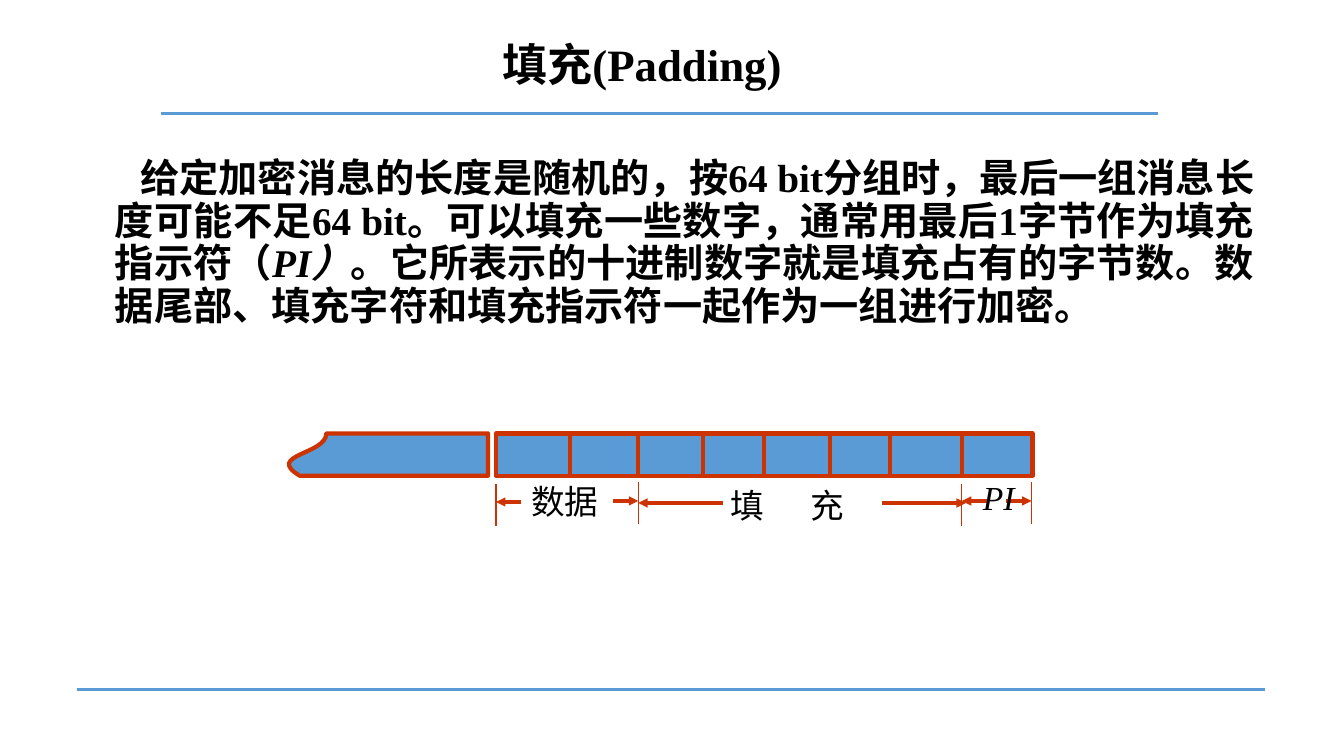
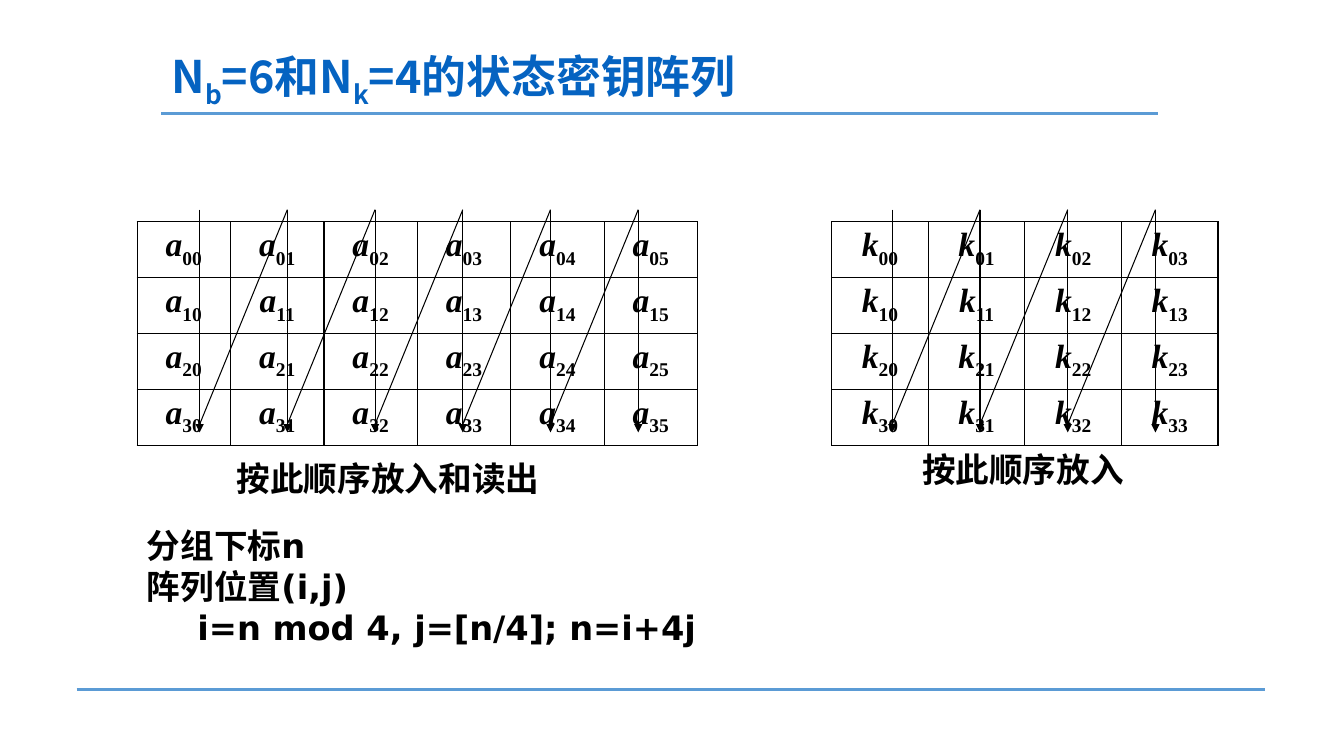
from dataclasses import dataclass
from typing import Any, Optional, Sequence

import lxml.etree
import pptx
import pptx.dml.color
import pptx.enum.lang
import pptx.enum.shapes
import pptx.enum.text
import pptx.oxml.ns
import pptx.util

SCALE = 9144
HUES = {"sky": "5B9BD5", "rust": "CC3300", "ink": "000000", "link": "0563C1"}
SERIF = "Times New Roman"
ALIGN = pptx.enum.text.PP_ALIGN
SHAPE = pptx.enum.shapes.MSO_SHAPE


@dataclass(frozen=True)
class Span:
    text: str
    slant: bool = False
    sub: bool = False


@dataclass(frozen=True)
class Style:
    face: str
    size: int
    hue: str = "ink"
    bold: bool = True
    align: Optional[Any] = None
    space: Optional[Any] = None


@dataclass(frozen=True)
class Box:
    left: int
    top: int
    width: int
    height: int


@dataclass(frozen=True)
class Line:
    left: int
    top: int
    right: int
    foot: int
    hue: str = "ink"
    width: float = 0.75
    tip: bool = False


@dataclass(frozen=True)
class Grid:
    mark: str
    cols: int
    box: Box
    start: int


def px(count: int) -> pptx.util.Emu:
    return pptx.util.Emu(count * SCALE)


def tint(name: str) -> pptx.dml.color.RGBColor:
    return pptx.dml.color.RGBColor.from_string(HUES[name])


def child(node: Any, tag: str, **attrs: str) -> Any:
    part = lxml.etree.SubElement(node, pptx.oxml.ns.qn(tag))
    for key, value in attrs.items():
        part.set(key, value)
    return part


def place(shape: Any, box: Box) -> None:
    shape.left, shape.top = px(box.left), px(box.top)
    shape.width, shape.height = px(box.width), px(box.height)


def write(para: Any, spans: Sequence[Span], style: Style) -> None:
    para.alignment = style.align
    if style.space is not None:
        para.line_spacing = style.space
    font = para.font
    font.name, font.size = style.face, pptx.util.Pt(style.size)
    font.bold = style.bold
    font.color.rgb = tint(style.hue)
    font.language_id = pptx.enum.lang.MSO_LANGUAGE_ID.SIMPLIFIED_CHINESE
    for span in spans:
        run = para.add_run()
        run.text = span.text
        if span.slant:
            run.font.italic = True
        if span.sub:
            run._r.get_or_add_rPr().set("baseline", "-25000")


def draw(slide: Any, line: Line) -> Any:
    link = slide.shapes.add_connector(
        pptx.enum.shapes.MSO_CONNECTOR.STRAIGHT,
        px(line.left), px(line.top), px(line.right), px(line.foot),
    )
    link.line.color.rgb = tint(line.hue)
    link.line.width = pptx.util.Pt(line.width)
    if line.tip:
        child(link.line._get_or_add_ln(), "a:tailEnd", type="triangle")
    child(link._element.spPr, "a:effectLst")
    return link


def block(slide: Any, kind: Any, box: Box) -> Any:
    shape = slide.shapes.add_shape(
        kind, px(box.left), px(box.top), px(box.width), px(box.height)
    )
    shape.shadow.inherit = False
    shape.fill.solid()
    shape.fill.fore_color.rgb = tint("sky")
    shape.line.color.rgb = tint("rust")
    shape.line.width = pptx.util.Pt(3)
    return shape


def label(slide: Any, box: Box, wrap: bool = True) -> Any:
    shape = slide.shapes.add_textbox(
        px(box.left), px(box.top), px(box.width), px(box.height)
    )
    shape.text_frame.word_wrap = wrap
    return shape.text_frame


def head(slide: Any, box: Box, spans: Sequence[Span], style: Style) -> None:
    title = slide.shapes.title
    place(title, box)
    frame = title.text_frame
    frame.auto_size = pptx.enum.text.MSO_AUTO_SIZE.NONE
    frame.vertical_anchor = pptx.enum.text.MSO_ANCHOR.MIDDLE
    write(frame.paragraphs[0], spans, style)


def rule(deck: Any, slide: Any) -> None:
    for line in (
        Line(160, 113, 1149, 113, "sky", 2.25),
        Line(76, 684, 1255, 684, "sky", 2.25),
    ):
        deck.slide_master.shapes._spTree.append(draw(slide, line)._element)


def table(slide: Any, grid: Grid) -> None:
    box = grid.box
    frame = slide.shapes.add_table(
        4, grid.cols, px(box.left), px(box.top), px(box.width), px(box.height)
    )
    body = frame.table
    body.first_row = body.horz_banding = False
    for col in body.columns:
        col.width = px(box.width) // grid.cols
    style = Style(SERIF, 24, align=ALIGN.CENTER)
    for i, row in enumerate(body.rows):
        row.height = px(box.height) // 4
        for j, cell in enumerate(row.cells):
            spans = [Span(grid.mark, slant=True), Span(f"{i}{j}", sub=True)]
            write(cell.text_frame.paragraphs[0], spans, style)
            props = cell._tc.get_or_add_tcPr()
            for side in "LRTB":
                edge = child(props, f"a:ln{side}", w="12700")
                fill = child(edge, "a:solidFill")
                child(fill, "a:srgbClr", val=HUES["ink"])
            cell.fill.background()


def order(slide: Any, grid: Grid) -> None:
    step = 87
    for j in range(grid.cols):
        x = grid.start + j * step
        draw(slide, Line(x, 208, x, 429, tip=True))
        if j < grid.cols - 1:
            draw(slide, Line(x, 421, x + step, 208))


def padding(deck: Any) -> None:
    slide = deck.slides.add_slide(deck.slide_layouts[1])
    rule(deck, slide)
    head(slide, Box(162, 4, 950, 125), [Span("填充(Padding)")],
         Style(SERIF, 32, align=ALIGN.CENTER, space=0.9))

    body = slide.placeholders[1]
    place(body, Box(79, 141, 1175, 218))
    frame = body.text_frame
    frame.auto_size = pptx.enum.text.MSO_AUTO_SIZE.NONE
    frame.margin_top = px(16)
    para = frame.paragraphs[0]
    props = para._p.get_or_add_pPr()
    props.set("marL", str(px(25)))
    props.set("indent", str(px(25)))
    para.space_before = pptx.util.Pt(0)
    child(props, "a:buNone")
    write(para, [
        Span("给定加密消息的长度是随机的，按64 bit分组时，最后一组消息"
             "长度可能不足64 bit。可以填充一些数字，通常用最后1字节作为"
             "填充指示符（"),
        Span("PI）", slant=True),
        Span("。它所表示的十进制数字就是填充占有的字节数。"
             "数据尾部、填充字符和填充指示符一起作为一组进行加密。"),
    ], Style(SERIF, 28, align=ALIGN.JUSTIFY, space=pptx.util.Pt(30.4)))

    bar = block(slide, SHAPE.RECTANGLE, Box(492, 430, 532, 42))
    for x in (565, 633, 697, 758, 823, 883, 954):
        link = draw(slide, Line(x, 430, x, 472, "rust", 3))
        if x == 758:
            link.begin_connect(bar, 0)
            link.end_connect(bar, 2)
    torn = block(slide, SHAPE.FLOWCHART_DOCUMENT, Box(363, 351, 42, 200))
    torn.rotation = 270
    torn._element.spPr.xfrm.set("flipV", "1")

    for x, y, width in (
        (492, 480, 1.5), (633, 478, 0.75), (954, 480, 0.75), (1023, 478, 0.75)
    ):
        draw(slide, Line(x, y, x, y + 42, "rust", width))
    for left, right, y in (
        (608, 633, 497), (517, 492, 498), (979, 954, 497),
        (998, 1023, 497), (875, 958, 499), (717, 633, 499),
    ):
        draw(slide, Line(left, y, right, y, "rust", 2.25, True))

    plain = Style(SERIF, 24, bold=False)
    for box, span in (
        (Box(517, 472, 87, 50), Span("数据")),
        (Box(715, 476, 137, 50), Span("填\t充")),
        (Box(965, 468, 52, 50), Span("PI", slant=True)),
    ):
        tabbed = "\t" in span.text
        para = label(slide, box, tabbed).paragraphs[0]
        if tabbed:
            tabs = child(para._p.get_or_add_pPr(), "a:tabLst")
            child(tabs, "a:tab", pos=str(px(79)), algn="l")
        write(para, [span], plain)


def arrays(deck: Any) -> None:
    slide = deck.slides.add_slide(deck.slide_layouts[5])
    head(slide, Box(160, 40, 988, 73), [
        Span("N"), Span("b", sub=True), Span("=6和N"),
        Span("k", sub=True), Span("=4的状态密钥阵列"),
    ], Style("Noto Sans CJK SC", 32, "link", align=ALIGN.LEFT, space=0.9))

    for grid in (
        Grid("a", 6, Box(136, 220, 556, 222), 198),
        Grid("k", 4, Box(825, 220, 383, 222), 885),
    ):
        order(slide, grid)
        table(slide, grid)

    for box, text, align in (
        (Box(225, 449, 339, 50), "按此顺序放入和读出", ALIGN.LEFT),
        (Box(845, 440, 339, 50), "按此顺序放入", ALIGN.CENTER),
    ):
        write(label(slide, box).paragraphs[0], [Span(text)],
              Style("Karla", 24, align=align))

    frame = label(slide, Box(136, 516, 667, 131))
    style = Style("DejaVu Sans", 24, space=pptx.util.Pt(29))
    for i, text in enumerate(
        ("分组下标n", "阵列位置(i,j)", "i=n mod 4, j=[n/4]; n=i+4j")
    ):
        para = frame.add_paragraph() if i else frame.paragraphs[0]
        if i == 2:
            para.level = 1
            para._p.get_or_add_pPr().set("marL", str(px(50)))
        write(para, [Span(text)], style)


def main() -> None:
    deck = pptx.Presentation()
    deck.slide_width, deck.slide_height = px(1333), px(750)
    padding(deck)
    arrays(deck)
    deck.save("out.pptx")


if __name__ == "__main__":
    main()
